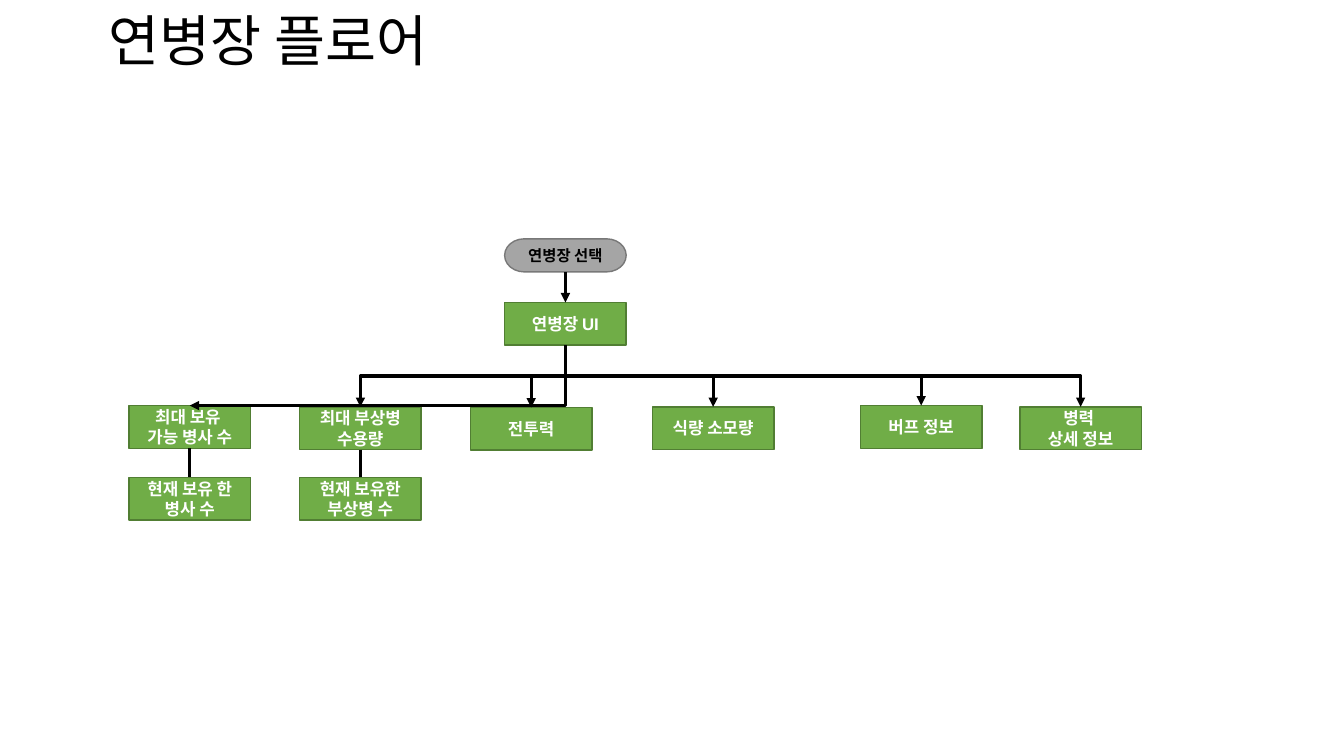
from pptx import Presentation
from pptx.dml.color import RGBColor
from pptx.enum.shapes import MSO_CONNECTOR, MSO_SHAPE
from pptx.enum.text import MSO_ANCHOR, MSO_AUTO_SIZE, PP_ALIGN
from pptx.oxml.ns import qn
from pptx.util import Pt
from lxml.etree import SubElement

COLORS = {"black": "000000", "white": "FFFFFF", "gray": "A5A5A5",
          "edge": "787878", "green": "70AD47", "rim": "517E33"}
WIDE, HIGH = 86.8, 30.5


def color(name):
    return RGBColor.from_string(COLORS[name])


class Chart:
    font = "Arial"
    weight = 2.25

    def __init__(self, slide):
        self.slide = slide

    def label(self, para, text, size, ink, bold=False):
        run = para.add_run()
        run.text = text
        run.font.name = self.font
        run.font.size = Pt(size)
        run.font.bold = bold
        run.font.color.rgb = color(ink)

    def title(self, text, left, top, width, height):
        box = self.slide.shapes.title
        box.left, box.top, box.width, box.height = map(Pt, (left, top, width, height))
        frame = box.text_frame
        frame.auto_size = MSO_AUTO_SIZE.NONE
        frame.vertical_anchor = MSO_ANCHOR.MIDDLE
        para = frame.paragraphs[0]
        para.alignment = PP_ALIGN.LEFT
        para.line_spacing = 0.9
        self.label(para, text, 39.6, "black")

    def node(self, lines, left, top, height=HIGH, kind=MSO_SHAPE.FLOWCHART_PROCESS,
             fill="green", edge="rim", ink="white", size=12):
        box = self.slide.shapes.add_shape(kind, Pt(left), Pt(top), Pt(WIDE), Pt(height))
        box.shadow.inherit = False
        box.fill.solid()
        box.fill.fore_color.rgb = color(fill)
        box.line.color.rgb = color(edge)
        box.line.width = Pt(1)
        frame = box.text_frame
        frame.word_wrap = True
        frame.vertical_anchor = MSO_ANCHOR.MIDDLE
        for i, text in enumerate(lines):
            para = frame.add_paragraph() if i else frame.paragraphs[0]
            para.alignment = PP_ALIGN.CENTER
            self.label(para, text, size, ink, bold=True)
        return box

    def line(self, kind, x1, y1, x2, y2, arrow=True):
        link = self.slide.shapes.add_connector(kind, x1, y1, x2, y2)
        link.line.color.rgb = color("black")
        link.line.width = Pt(self.weight)
        props = link._element.spPr
        if arrow:
            SubElement(props.find(qn("a:ln")), qn("a:tailEnd"), type="triangle")
        SubElement(props, qn("a:effectLst"))
        return link

    def drop(self, upper, lower, arrow=True):
        link = self.line(MSO_CONNECTOR.STRAIGHT, 0, 0, 0, 0, arrow)
        link.begin_connect(upper, 2)
        link.end_connect(lower, 0)

    def ends(self, upper, lower):
        return (upper.left + upper.width // 2, upper.top + upper.height,
                lower.left + lower.width // 2, lower.top)

    def branch(self, upper, lower):
        """Down, across at half height, down: a turned elbow."""
        x1, y1, x2, y2 = self.ends(upper, lower)
        midx, midy = (x1 + x2) // 2, (y1 + y2) // 2
        dx, dy = abs(x2 - x1) // 2, (y2 - y1) // 2
        if x2 > x1:
            dy, turn = -dy, 270
        else:
            turn = 90
        link = self.line(MSO_CONNECTOR.ELBOW, midx - dy, midy - dx, midx + dy, midy + dx)
        link._element.spPr.find(qn("a:xfrm")).set("rot", str(turn * 60000))

    def corner(self, upper, lower):
        """Down first, then straight across."""
        link = self.line(MSO_CONNECTOR.ELBOW, *self.ends(upper, lower))
        geom = link._element.spPr.find(qn("a:prstGeom"))
        bends = geom.find(qn("a:avLst"))
        if bends is None:
            bends = SubElement(geom, qn("a:avLst"))
        SubElement(bends, qn("a:gd"), name="adj1", fmla="val 0")


def main():
    deck = Presentation()
    deck.slide_width, deck.slide_height = Pt(960), Pt(540)
    chart = Chart(deck.slides.add_slide(deck.slide_layouts[5]))
    chart.title("연병장 플로어", 70.5, 7.2, 828, 48)

    # Entry and main screen
    start = chart.node(["연병장 선택"], 360.5, 170.6, 23.6, MSO_SHAPE.FLOWCHART_TERMINATOR,
                       "gray", "edge", "black", 11)
    screen = chart.node(["연병장 UI"], 360.5, 216)
    chart.drop(start, screen)

    # Items on the screen: lines, left, top, lines of the detail below
    items = [
        (["최대 보유 ", "가능 병사 수"], 92.2, 289.7, ["현재 보유 한", "병사 수"]),
        (["최대 부상병 수용량"], 214, 290.7, ["현재 보유한", "부상병 수"]),
        (["전투력"], 336, 291.1, None),
        (["식량 소모량"], 466, 290.7, None),
        (["버프 정보"], 614.6, 289.7, None),
        (["병력 ", "상세 정보"], 728.5, 290.7, None),
    ]
    boxes = []
    for lines, left, top, detail in items:
        box = chart.node(lines, left, top)
        boxes.append(box)
        if detail:
            chart.drop(box, chart.node(detail, left, 341), arrow=False)

    # Arrows from the screen to its items
    chart.corner(screen, boxes[0])
    for box in boxes[1:]:
        chart.branch(screen, box)

    deck.save("out.pptx")


if __name__ == "__main__":
    main()
